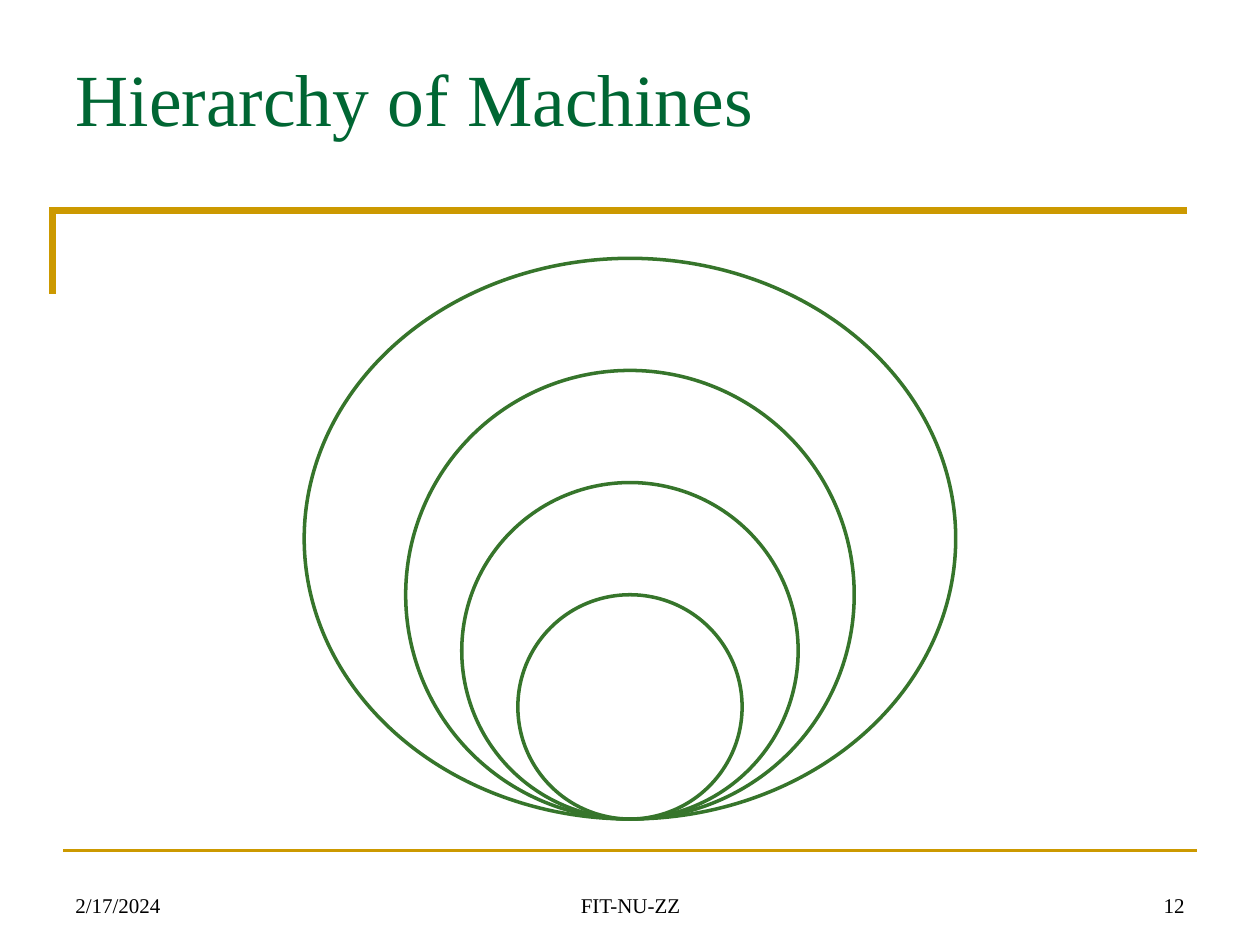
from dataclasses import dataclass

from lxml.etree import SubElement
from pptx import Presentation
from pptx.dml.color import RGBColor
from pptx.enum.shapes import MSO_CONNECTOR, MSO_SHAPE
from pptx.enum.text import MSO_ANCHOR, PP_ALIGN
from pptx.oxml.ns import qn
from pptx.util import Inches, Pt


@dataclass(frozen=True)
class Theme:
    font: str = "Times New Roman"
    title_color: RGBColor = RGBColor(0x00, 0x66, 0x33)
    text_color: RGBColor = RGBColor(0x00, 0x00, 0x00)
    rule_color: RGBColor = RGBColor(0xCC, 0x99, 0x00)
    ring_color: RGBColor = RGBColor(0x36, 0x75, 0x2B)
    ring_fill: RGBColor = RGBColor(0xFF, 0xFF, 0xFF)
    title_size: int = 42
    footer_size: int = 12
    bracket_width: int = 4
    line_width: int = 2


@dataclass(frozen=True)
class Footer:
    text: str
    left: float
    width: float
    alignment: PP_ALIGN


@dataclass(frozen=True)
class Ring:
    columns: float
    rows: float


THEME = Theme()
WIDTH, HEIGHT = 10, 7.5
MARGIN = 0.05 * WIDTH
CONTENT_WIDTH = WIDTH - 2 * MARGIN

# Rings are measured in square grid units and share one bottom point
RING_UNIT = 0.89
RING_BOTTOM = 6.5
RINGS = [Ring(5.81, 5), Ring(4, 4), Ring(3, 3), Ring(2, 2)]

FOOTERS = [
    Footer("2/17/2024", MARGIN, 2.33, PP_ALIGN.LEFT),
    Footer("FIT-NU-ZZ", 3.42, 3.17, PP_ALIGN.CENTER),
    Footer("12", WIDTH - MARGIN - 2.33, 2.33, PP_ALIGN.RIGHT),
]


def format_text(paragraph, size: int, color: RGBColor, alignment: PP_ALIGN) -> None:
    paragraph.alignment = alignment
    for run in paragraph.runs:
        run.font.name = THEME.font
        run.font.size = Pt(size)
        run.font.color.rgb = color


def format_line(line, color: RGBColor, width: int) -> None:
    line.color.rgb = color
    line.width = Pt(width)


def draw_bracket(slide) -> None:
    left, top, right, bottom = 0.42, 1.67, 9.42, 2.33
    builder = slide.shapes.build_freeform(Inches(left), Inches(bottom))
    corners = [(left, top), (right, top)]
    builder.add_line_segments(
        [(Inches(x), Inches(y)) for x, y in corners], close=False)
    bracket = builder.convert_to_shape()
    bracket.shadow.inherit = False
    bracket.fill.background()
    format_line(bracket.line, THEME.rule_color, THEME.bracket_width)
    outline = bracket.element.spPr.find(qn("a:ln"))
    SubElement(outline, qn("a:miter"), lim="800000")


def draw_footer_rule(slide) -> None:
    y = Inches(0.9 * HEIGHT)
    rule = slide.shapes.add_connector(
        MSO_CONNECTOR.STRAIGHT, Inches(MARGIN), y, Inches(WIDTH - MARGIN), y)
    format_line(rule.line, THEME.rule_color, THEME.line_width)
    SubElement(rule.element.spPr, qn("a:effectLst"))


def place_title(slide, text: str) -> None:
    title = slide.shapes.title
    title.left, title.top = Inches(MARGIN), Inches(0.04 * HEIGHT)
    title.width, title.height = Inches(CONTENT_WIDTH), Inches(1.25)
    text_frame = title.text_frame
    text_frame.text = text
    text_frame.vertical_anchor = MSO_ANCHOR.TOP
    text_frame.margin_top = Inches(0.12)
    format_text(text_frame.paragraphs[0], THEME.title_size,
                THEME.title_color, PP_ALIGN.LEFT)


def draw_footer(slide, footer: Footer) -> None:
    box = slide.shapes.add_textbox(
        Inches(footer.left), Inches(6.83), Inches(footer.width), Inches(0.5))
    text_frame = box.text_frame
    text_frame.word_wrap = True
    text_frame.vertical_anchor = MSO_ANCHOR.BOTTOM
    text_frame.text = footer.text
    format_text(text_frame.paragraphs[0], THEME.footer_size,
                THEME.text_color, footer.alignment)


def draw_ring(group, ring: Ring) -> None:
    width, height = ring.columns * RING_UNIT, ring.rows * RING_UNIT
    ellipse = group.shapes.add_shape(
        MSO_SHAPE.OVAL, Inches((WIDTH - width) / 2),
        Inches(RING_BOTTOM - height), Inches(width), Inches(height))
    ellipse.shadow.inherit = False
    ellipse.fill.solid()
    ellipse.fill.fore_color.rgb = THEME.ring_fill
    format_line(ellipse.line, THEME.ring_color, THEME.line_width)


def main() -> None:
    presentation = Presentation()
    presentation.slide_width = Inches(WIDTH)
    presentation.slide_height = Inches(HEIGHT)
    title_only = presentation.slide_layouts.get_by_name("Title Only")
    slide = presentation.slides.add_slide(title_only)

    # Frame and title
    draw_bracket(slide)
    draw_footer_rule(slide)
    place_title(slide, "Hierarchy of Machines")

    # Footer row
    for footer in FOOTERS:
        draw_footer(slide, footer)

    # Nested machine classes, outermost first
    group = slide.shapes.add_group_shape()
    for ring in RINGS:
        draw_ring(group, ring)

    presentation.save("out.pptx")


if __name__ == "__main__":
    main()
